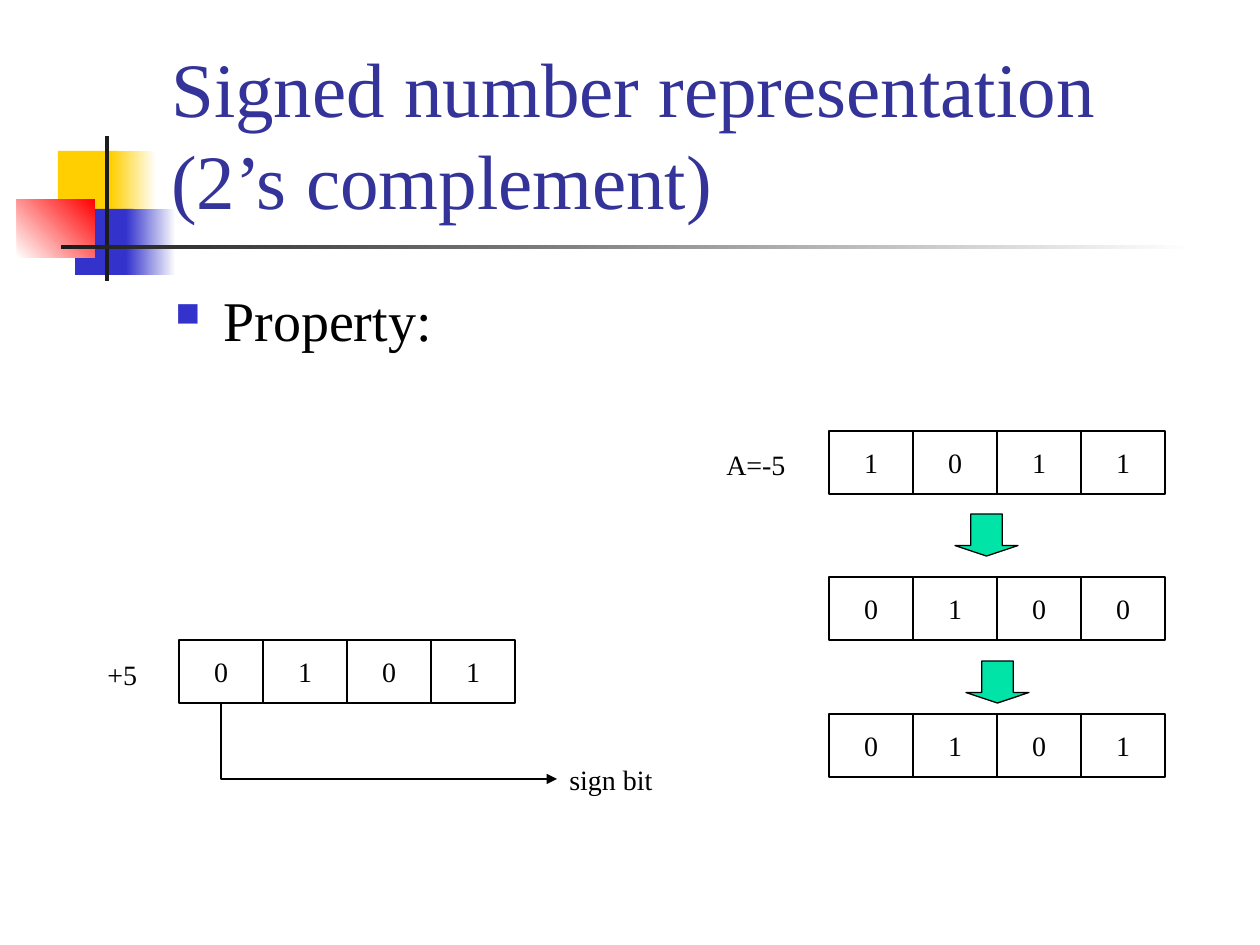
from lxml import etree
from pptx import Presentation
from pptx import util as u
from pptx.dml.color import RGBColor
from pptx.enum import shapes, text
from pptx.oxml.ns import qn

YELLOW = RGBColor(0xFF, 0xCF, 0x01)
BLUE = RGBColor(0x33, 0x33, 0xCC)
RED = RGBColor(0xFF, 0x00, 0x00)
DARK = RGBColor(0x1C, 0x1C, 0x1C)
WHITE = RGBColor(0xFF, 0xFF, 0xFF)
BLACK = RGBColor(0x00, 0x00, 0x00)
INDIGO = RGBColor(0x33, 0x33, 0x99)
GREEN = RGBColor(0x00, 0xE4, 0xA8)
FONT = "Times New Roman"
CELL_W, CELL_H = 84, 63


def px(n):
    return u.Emu(round(n * 914400 / 126))


class Deck:
    def __init__(self):
        self.prs = Presentation()
        self.prs.slide_width, self.prs.slide_height = px(1260), px(945)
        self.s = self.prs.slides.add_slide(self.prs.slide_layouts[6])

    def set_text(self, sp, words, size, color=BLACK, wrap=False):
        tf = sp.text_frame
        tf.text = words
        tf.word_wrap = wrap
        font = tf.paragraphs[0].runs[0].font
        font.name, font.size, font.color.rgb = FONT, u.Pt(size), color
        return tf

    def shape(self, kind, box, parent=None):
        sp = (parent or self.s).shapes.add_shape(kind, *map(px, box))
        sp.shadow.inherit = False
        return sp

    def block(self, box, *colors, angle=0):
        sp = self.shape(shapes.MSO_SHAPE.RECTANGLE, box)
        sp.line.fill.background()
        if len(colors) == 1:
            sp.fill.solid()
            sp.fill.fore_color.rgb = colors[0]
            return
        sp.fill.gradient()
        sp.fill.gradient_angle = angle
        for stop, color in zip(sp.fill.gradient_stops, colors):
            stop.color.rgb = color

    def outline(self, sp):
        sp.line.color.rgb, sp.line.width = BLACK, u.Pt(0.75)

    def textbox(self, words, box, size, color=BLACK, anchor=text.MSO_ANCHOR.TOP):
        sp = self.s.shapes.add_textbox(*map(px, box))
        tf = self.set_text(sp, words, size, color, wrap=True)
        tf.vertical_anchor = anchor
        return tf

    def bullet(self, words, box):
        p = self.textbox(words, box, 32).paragraphs[0]
        pPr = p._p.get_or_add_pPr()
        pPr.set("marL", str(px(48)))
        pPr.set("indent", str(px(-48)))
        clr = etree.SubElement(pPr, qn("a:buClr"))
        etree.SubElement(clr, qn("a:srgbClr"), val=str(BLUE))
        etree.SubElement(pPr, qn("a:buSzPct"), val="60000")
        etree.SubElement(pPr, qn("a:buChar"), char="■")

    def label(self, words, box, parent=None):
        sp = (parent or self.s).shapes.add_textbox(*map(px, box))
        self.set_text(sp, words, 16).auto_size = text.MSO_AUTO_SIZE.SHAPE_TO_FIT_TEXT

    def register(self, bits, x, y):
        group = self.s.shapes.add_group_shape()
        for i, bit in enumerate(bits):
            sp = self.shape(shapes.MSO_SHAPE.RECTANGLE, (x + i * CELL_W, y, CELL_W, CELL_H), group)
            sp.fill.background()
            self.outline(sp)
            tf = self.set_text(sp, bit, 16)
            tf.vertical_anchor = text.MSO_ANCHOR.MIDDLE
            tf.paragraphs[0].alignment = text.PP_ALIGN.CENTER
        return group

    def down_arrow(self, x, y):
        sp = self.shape(shapes.MSO_SHAPE.DOWN_ARROW, (x, y, 63, 42))
        sp.adjustments[0], sp.adjustments[1] = 0.5, 0.25
        sp.fill.solid()
        sp.fill.fore_color.rgb = GREEN
        self.outline(sp)

    def down_then_right(self, x1, y1, x2, y2):
        run, drop = x2 - x1, y2 - y1
        left, top = (x1 + x2 - drop) / 2, (y1 + y2 - run) / 2
        cx = self.s.shapes.add_connector(
            shapes.MSO_CONNECTOR.ELBOW, px(left), px(top), px(left + drop), px(top + run))
        self.outline(cx)
        spPr = cx._element.spPr
        spPr.find(qn("a:prstGeom")).set("prst", "bentConnector2")
        xfrm = spPr.find(qn("a:xfrm"))
        xfrm.set("rot", "16200000")
        xfrm.set("flipH", "1")
        etree.SubElement(spPr.find(qn("a:ln")), qn("a:tailEnd"), type="triangle")
        etree.SubElement(spPr, qn("a:effectLst"))


def main():
    d = Deck()
    d.block((58, 151, 60, 66), YELLOW)
    d.block((111, 151, 45, 66), YELLOW, WHITE)
    d.block((75, 209, 58, 66), BLUE)
    d.block((126, 209, 50, 66), BLUE, WHITE)
    d.block((17, 199, 78, 59), WHITE, RED, angle=45)
    d.block((105, 136, 4, 145), DARK)
    d.block((61, 245, 1134, 4), DARK, WHITE)

    d.textbox("Signed number representation (2’s complement)",
              (159, 29, 1073, 202), 44, INDIGO, text.MSO_ANCHOR.BOTTOM)
    d.bullet("Property:", (163, 279, 1071, 174))

    d.register("0101", 179, 640)
    d.label("sign bit", (557, 756, 108, 46))
    d.down_then_right(179 + CELL_W // 2, 640 + CELL_H, 557, 779)

    negative = d.register("1011", 829, 431)
    d.label("A=-5", (714, 441, 84, 46), negative)
    d.register("0100", 829, 577)
    d.register("0101", 829, 714)
    d.down_arrow(955, 514)
    d.down_arrow(966, 661)
    d.label("+5", (95, 651, 55, 46))
    d.prs.save("out.pptx")


if __name__ == "__main__":
    main()
